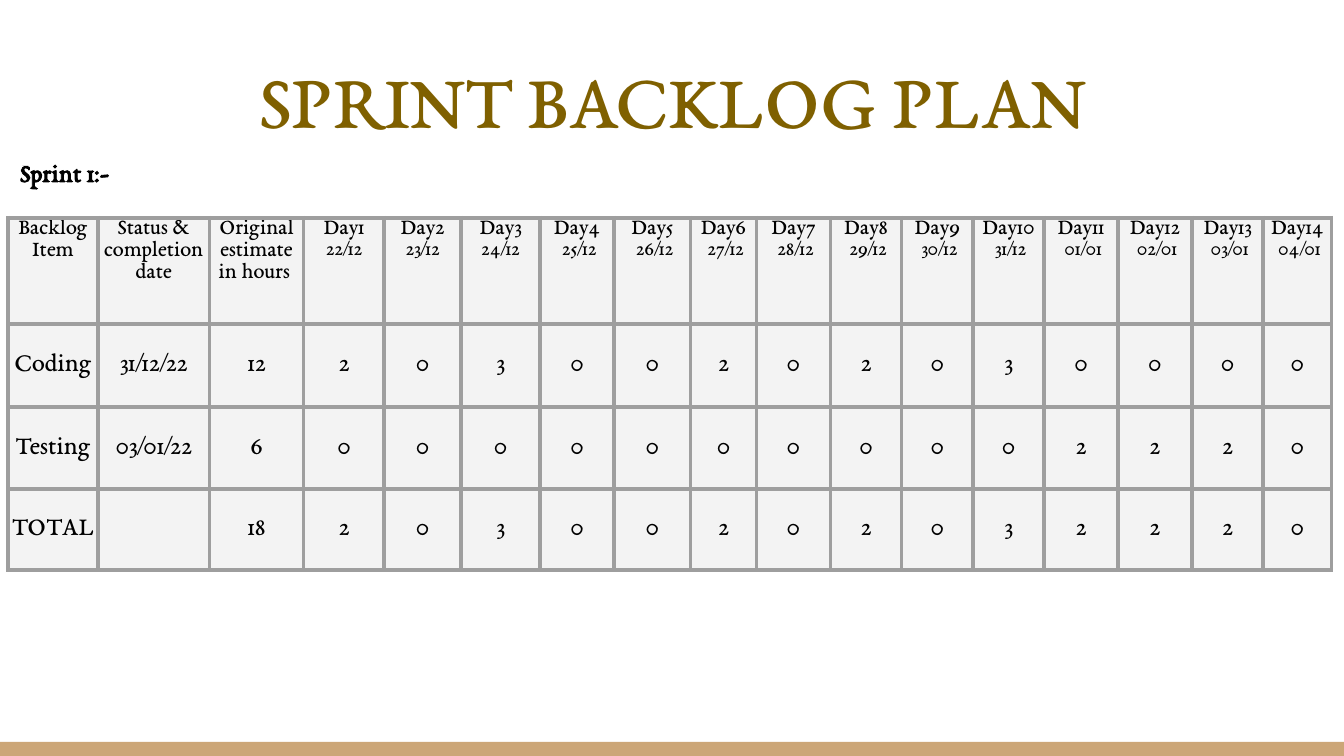
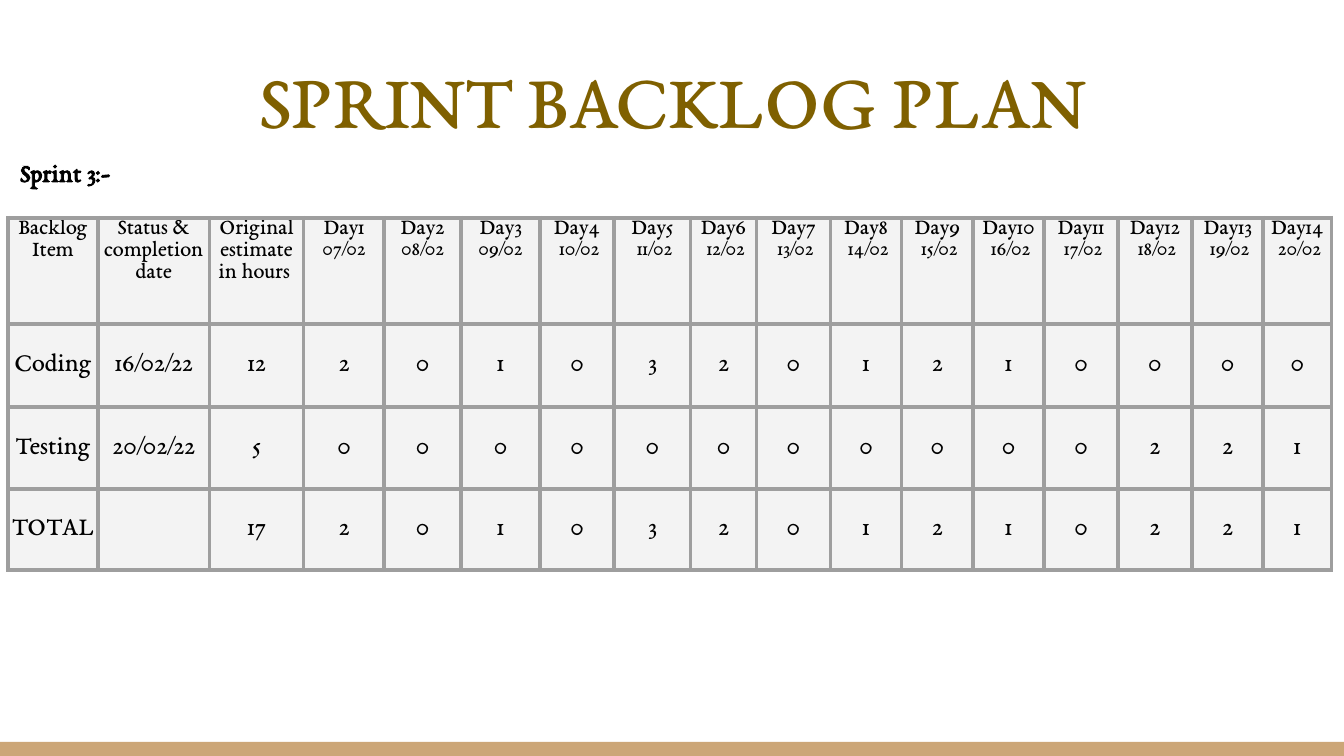
import pptx
import pptx.util
import pptx.dml.color
import pptx.enum.shapes
import pptx.enum.text
import pptx.oxml.ns
import lxml.etree

Inches = pptx.util.Inches
Pt = pptx.util.Pt
Color = pptx.dml.color.RGBColor
Align = pptx.enum.text.PP_ALIGN
Anchor = pptx.enum.text.MSO_ANCHOR

BLACK = Color(0x00, 0x00, 0x00)
WHITE = Color(0xFF, 0xFF, 0xFF)
GOLD = Color(0x7F, 0x60, 0x00)
TAN = Color(0xCC, 0xA6, 0x77)
PALE = Color(0xF3, 0xF3, 0xF3)
GREY = Color(0x9E, 0x9E, 0x9E)
FONT = "EB Garamond"

COLS = [0.67, 0.83, 0.7, 0.6, 0.57, 0.59, 0.55, 0.57, 0.49,
        0.55, 0.53, 0.53, 0.53, 0.55, 0.55, 0.53, 0.51]
ROWS = [0.79, 0.62, 0.61, 0.6]
HEADS = ["Backlog Item", "Status & completion date", "Original estimate in hours "]

SPRINTS = [
    {
        "name": "Sprint 1:-",
        "dates": [f"{day}/12" for day in range(22, 32)]
        + [f"{day:02}/01" for day in range(1, 5)],
        "ends": ["31/12/22", "03/01/22"],
        "coding": [2, 0, 3, 0, 0, 2, 0, 2, 0, 3, 0, 0, 0, 0],
        "testing": [0, 0, 0, 0, 0, 0, 0, 0, 0, 0, 2, 2, 2, 0],
    },
    {
        "name": "Sprint 3:-",
        "dates": [f"{day:02}/02" for day in range(7, 21)],
        "ends": ["16/02/22", "20/02/22"],
        "coding": [2, 0, 1, 0, 3, 2, 0, 1, 2, 1, 0, 0, 0, 0],
        "testing": [0, 0, 0, 0, 0, 0, 0, 0, 0, 0, 0, 2, 2, 1],
    },
]


def write(frame, text, sizes=(14,), color=BLACK, bold=False, align=Align.CENTER):
    """Fill a text frame, one paragraph per line and one size per paragraph."""
    frame.word_wrap = True
    frame.text = text
    for para, size in zip(frame.paragraphs, sizes):
        para.alignment = align
        for font in [para.font] + [run.font for run in para.runs]:
            font.name = FONT
            font.size = Pt(size)
            font.bold = bold
            font.color.rgb = color


def edge(cell, color, width):
    """Draw the four borders of a cell; call it before the cell is filled."""
    props = cell._tc.get_or_add_tcPr()
    name = pptx.oxml.ns.qn
    for side in "LRTB":
        line = lxml.etree.SubElement(props, name(f"a:ln{side}"), w=str(Pt(width)))
        fill = lxml.etree.SubElement(line, name("a:solidFill"))
        lxml.etree.SubElement(fill, name("a:srgbClr"), val=str(color))


def grid(sprint):
    """Return the table's text: heads, one row per task, and the totals."""
    days = [f"Day{num}\n{' ' if num > 3 else ''}{date}"
            for num, date in enumerate(sprint["dates"], 1)]
    coding, testing = sprint["coding"], sprint["testing"]
    total = [sum(pair) for pair in zip(coding, testing)]
    tasks = zip(["Coding", "Testing", "TOTAL"], sprint["ends"] + [""],
                [coding, testing, total])
    return [HEADS + days] + [[task, end, sum(hours)] + hours
                             for task, end, hours in tasks]


class Deck:
    def __init__(self):
        self.show = pptx.Presentation()
        self.show.slide_width = Inches(10)
        self.show.slide_height = Inches(10) * 9 // 16
        self.slide = None

    def page(self):
        self.slide = self.show.slides.add_slide(self.show.slide_layouts[6])
        fill = self.slide.background.fill
        fill.solid()
        fill.fore_color.rgb = WHITE
        self.band(0, 5.52, 10, 0.11)
        self.label("SPRINT BACKLOG PLAN", 0.34, 0.26, 9.32, 0.91,
                   anchor=Anchor.BOTTOM, sizes=(42,), color=GOLD)

    def band(self, left, top, width, height):
        band = self.slide.shapes.add_shape(
            pptx.enum.shapes.MSO_SHAPE.RECTANGLE,
            Inches(left), Inches(top), Inches(width), Inches(height))
        band.shadow.inherit = False
        band.fill.solid()
        band.fill.fore_color.rgb = TAN
        band.line.fill.background()

    def label(self, text, left, top, width, height, anchor=Anchor.TOP, **style):
        box = self.slide.shapes.add_textbox(
            Inches(left), Inches(top), Inches(width), Inches(height))
        frame = box.text_frame
        frame.margin_left = frame.margin_right = Inches(0.1)
        frame.margin_top = frame.margin_bottom = Inches(0.1)
        frame.vertical_anchor = anchor
        write(frame, text, **style)

    def table(self, cells, left, top):
        table = self.slide.shapes.add_table(
            len(ROWS), len(COLS), Inches(left), Inches(top),
            Inches(sum(COLS)), Inches(sum(ROWS))).table
        for col, width in zip(table.columns, COLS):
            col.width = Inches(width)
        for row, height in zip(table.rows, ROWS):
            row.height = Inches(height)
        for r, line in enumerate(cells):
            for c, text in enumerate(line):
                self.cell(table.cell(r, c), str(text), head=r == 0)

    def cell(self, cell, text, head):
        cell.margin_left = cell.margin_right = 0
        cell.margin_top = cell.margin_bottom = 0
        cell.vertical_anchor = Anchor.TOP if head else Anchor.MIDDLE
        edge(cell, GREY, 2.25)
        cell.fill.solid()
        cell.fill.fore_color.rgb = PALE
        write(cell.text_frame, text, sizes=(12, 11) if head else (14,))


def main():
    deck = Deck()
    for sprint in SPRINTS:
        deck.page()
        deck.table(grid(sprint), 0.06, 1.62)
        deck.label(sprint["name"], 0.05, 1.06, 1.57, 0.44,
                   bold=True, align=Align.LEFT)
    deck.show.save("out.pptx")


if __name__ == "__main__":
    main()
